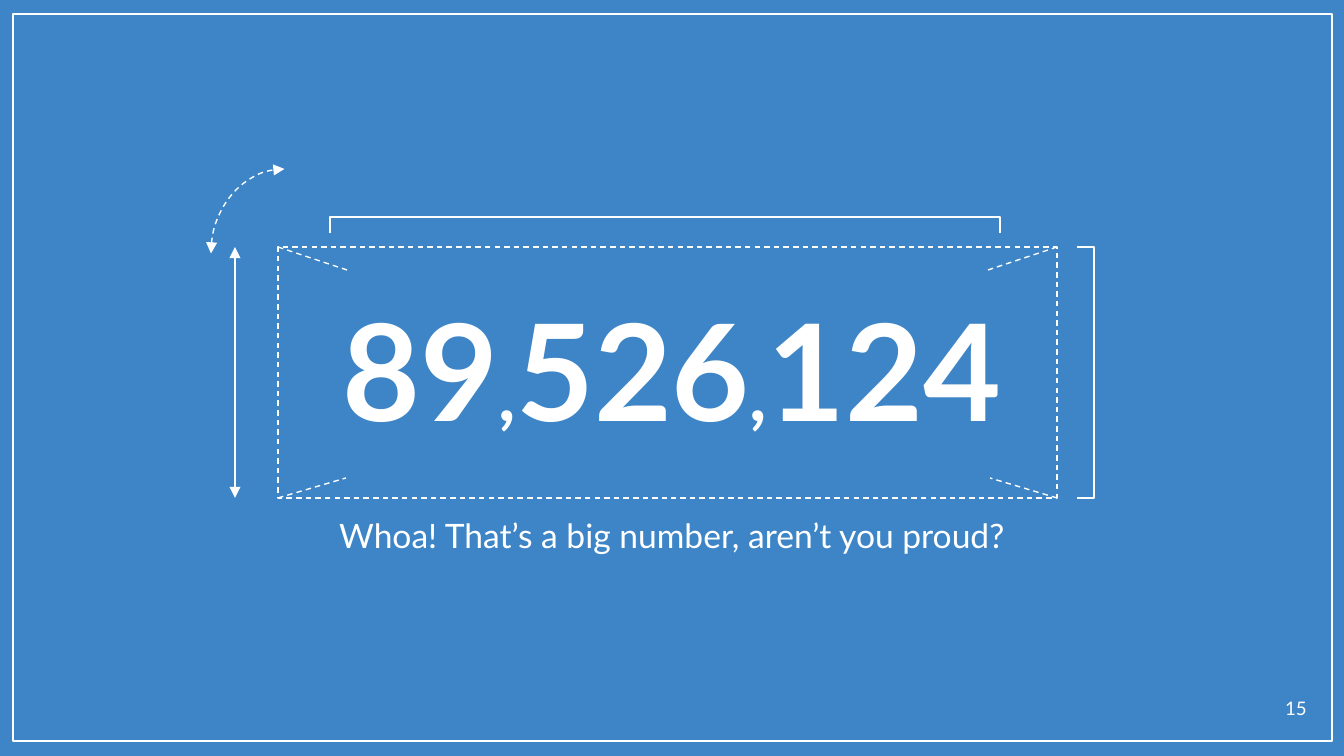
"""Build the big-number slide with its blueprint-style frame."""
from lxml import etree
from pptx import Presentation
from pptx.dml.color import RGBColor
from pptx.enum.dml import MSO_LINE
from pptx.enum.shapes import MSO_CONNECTOR, MSO_SHAPE
from pptx.enum.text import MSO_ANCHOR, MSO_AUTO_SIZE, PP_ALIGN
from pptx.oxml.ns import qn
from pptx.util import Pt

RECT, ARC = MSO_SHAPE.RECTANGLE, MSO_SHAPE.ARC
STRAIGHT, DASH = MSO_CONNECTOR.STRAIGHT, MSO_LINE.DASH
CENTER, RIGHT = PP_ALIGN.CENTER, PP_ALIGN.RIGHT
TOP, NO_FIT = MSO_ANCHOR.TOP, MSO_AUTO_SIZE.NONE

SCALE = 914400 / 134.4
BLUE, WHITE, FONT = "3D85C6", "FFFFFF", "Lato"

NUMBER = [("89", 72), (",", 40), ("526", 72), (",", 40), ("124", 72)]
CAPTION = [("Whoa! That’s a big number, aren’t you proud?", 18)]
PAGE = [("15", 10)]

BORDER = (13, 14, 1319, 727)
NUMBER_FRAME = (278, 247, 779, 251)
TURN_ARC = (211, 169, 147, 169)
BRACKETS = [
    [(1077, 247), (1094, 247), (1094, 498), (1077, 498)],
    [(330, 233), (330, 217), (1000, 217), (1000, 233)],
]
CORNER_LINES = [
    (278, 247, 347, 270),
    (1057, 247, 988, 270),
    (278, 498, 346, 478),
    (1057, 498, 990, 478),
]
HEIGHT_ARROW = (235, 247, 235, 498)


def px(*values):
    return [round(v * SCALE) for v in values]


def color(hex_string):
    return RGBColor.from_string(hex_string)


def style_line(s, dashed=False, arrows=False):
    s.line.color.rgb = color(WHITE)
    s.line.width = Pt(0.75)
    if dashed:
        s.line.dash_style = DASH
    if arrows:
        ln = s.line._get_or_add_ln()
        for tag in ("a:headEnd", "a:tailEnd"):
            etree.SubElement(ln, qn(tag), type="triangle")


def add_outline(shapes, kind, box, **line):
    s = shapes.add_shape(kind, *px(*box))
    s.shadow.inherit = False
    s.fill.background()
    style_line(s, **line)
    return s


def add_bracket(shapes, points):
    builder = shapes.build_freeform(*points[0], scale=SCALE)
    builder.add_line_segments(points[1:], close=False)
    s = builder.convert_to_shape()
    s.shadow.inherit = False
    s.fill.background()
    style_line(s)


def add_line(shapes, ends, **line):
    s = shapes.add_connector(STRAIGHT, *px(*ends))
    style_line(s, **line)
    etree.SubElement(s._element.spPr, qn("a:effectLst"))


def set_text(s, box, runs, align, bold=False, before=0):
    s.left, s.top, s.width, s.height = px(*box)
    tf = s.text_frame
    tf.word_wrap, tf.auto_size, tf.vertical_anchor = True, NO_FIT, TOP
    tf.margin_left, tf.margin_top, tf.margin_right, tf.margin_bottom = [Pt(7.2)] * 4
    p = tf.paragraphs[0]
    p.alignment, p.line_spacing, p.space_before = align, 1.0, Pt(before)
    for text, size in runs:
        r = p.add_run()
        r.text = text
        r.font.name, r.font.size, r.font.bold = FONT, Pt(size), bold
        r.font.color.rgb = color(WHITE)


def main():
    prs = Presentation()
    prs.slide_width, prs.slide_height = px(1344, 756)
    slide = prs.slides.add_slide(prs.slide_layouts[0])
    slide.background.fill.solid()
    slide.background.fill.fore_color.rgb = color(BLUE)
    shapes = slide.shapes

    add_outline(shapes, RECT, BORDER)
    add_outline(shapes, RECT, NUMBER_FRAME, dashed=True)
    for points in BRACKETS:
        add_bracket(shapes, points)
    arc = add_outline(shapes, ARC, TURN_ARC, dashed=True, arrows=True)
    arc.adjustments[0], arc.adjustments[1] = 108, 162
    for ends in CORNER_LINES:
        add_line(shapes, ends, dashed=True)
    add_line(shapes, HEIGHT_ARROW, arrows=True)

    set_text(shapes.title, (101, 274, 1142, 171), NUMBER, CENTER, bold=True)
    set_text(slide.placeholders[1], (207, 501, 930, 116), CAPTION, CENTER, before=6)
    set_text(shapes.add_textbox(0, 0, 0, 0), (1253, 683, 67, 43), PAGE, RIGHT)
    prs.save("out.pptx")


if __name__ == "__main__":
    main()
